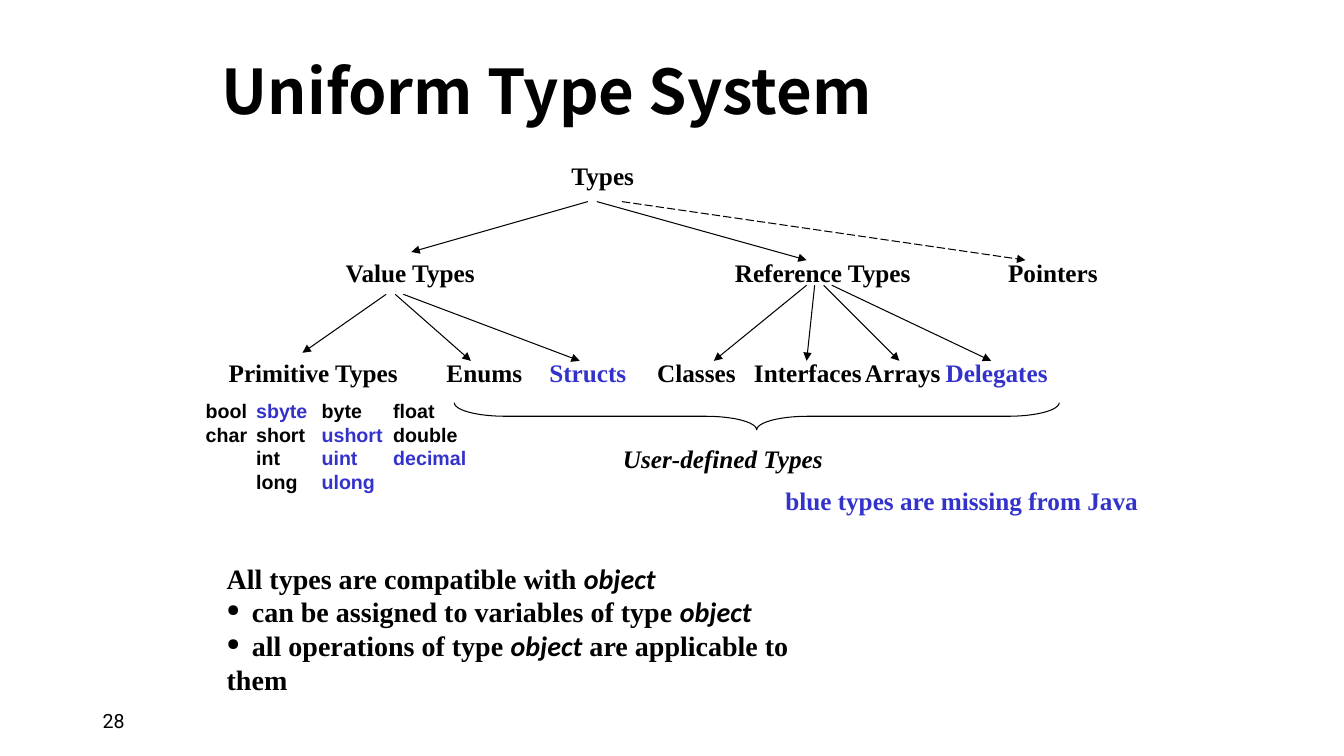
from dataclasses import dataclass

from lxml.etree import SubElement as Sub
from pptx import Presentation
from pptx.dml.color import RGBColor as Color
from pptx.enum.dml import MSO_LINE as Dash
from pptx.enum.shapes import MSO_CONNECTOR as Link, MSO_SHAPE as Kind
from pptx.enum.text import MSO_ANCHOR as Anchor, MSO_AUTO_SIZE as Fit, PP_ALIGN as Align
from pptx.oxml.ns import qn
from pptx.util import Inches, Pt


@dataclass(frozen=True)
class Theme:
    black: Color = Color(0, 0, 0)
    blue: Color = Color(0x33, 0x33, 0xCC)
    serif: str = "Times New Roman"
    sans: str = "Arial"
    code: str = "Calibri"
    head: str = "Noto Sans CJK SC"
    foot: str = "Roboto"
    title: int = 44
    body: int = 20
    label: int = 18
    small: int = 14
    line: float = 0.75


@dataclass(frozen=True)
class Label:
    text: str
    left: float
    top: float
    width: float
    blue: bool = False
    slant: bool = False


@dataclass(frozen=True)
class Column:
    left: float
    width: float
    words: tuple[str, ...]


@dataclass(frozen=True)
class Arrow:
    start: tuple[float, float]
    end: tuple[float, float]
    dashed: bool = False


THEME = Theme()
MISSING = {"sbyte", "ushort", "uint", "ulong", "decimal"}
ROOT, MID, LEAF = 1.54, 2.5, 3.5

LABELS = (
    Label("Types", 5.57, ROOT, 0.84),
    Label("Value Types", 3.33, MID, 1.53),
    Label("Reference Types", 7.19, MID, 1.97),
    Label("Pointers", 9.9, MID, 1.09),
    Label("Primitive Types", 2.17, LEAF, 1.9),
    Label("Enums", 4.33, LEAF, 0.95),
    Label("Structs", 5.35, LEAF, 0.97, blue=True),
    Label("Classes", 6.42, LEAF, 0.98),
    Label("Interfaces", 7.38, LEAF, 1.27),
    Label("Arrays", 8.48, LEAF, 0.95),
    Label("Delegates", 9.28, LEAF, 1.22, blue=True),
    Label("User-defined Types", 6.08, 4.35, 2.19, slant=True),
    Label("blue types are missing from Java", 7.69, 4.77, 3.71, blue=True),
)

COLUMNS = (
    Column(2.02, 0.61, ("bool", "char")),
    Column(2.52, 0.71, ("sbyte", "short", "int", "long")),
    Column(3.17, 0.8, ("byte", "ushort", "uint", "ulong")),
    Column(3.88, 0.92, ("float", "double", "decimal")),
)

ARROWS = (
    Arrow((5.83, 2), (4.08, 2.5)),
    Arrow((5.92, 2), (8, 2.58)),
    Arrow((6.17, 2), (10.17, 2.58), dashed=True),
    Arrow((3.83, 2.92), (3, 3.5)),
    Arrow((3.92, 2.92), (4.67, 3.58)),
    Arrow((4, 2.92), (5.75, 3.58)),
    Arrow((8, 2.83), (7.08, 3.58)),
    Arrow((8.08, 2.83), (8, 3.58)),
    Arrow((8.17, 2.83), (8.92, 3.58)),
    Arrow((8.25, 2.83), (9.83, 3.58)),
)

NOTES = (
    ("All types are compatible with ", "object"),
    ("\tcan be assigned to variables of type ", "object"),
    ("\tall operations of type ", "object", " are applicable to them"),
)


def write(para, text: str, *, font: str = THEME.serif, size: int = THEME.label,
          color: Color = THEME.black, bold: bool = True, slant: bool = False) -> None:
    run = para.add_run()
    run.text = text
    face = run.font
    face.name, face.size, face.bold, face.italic = font, Pt(size), bold, slant
    face.color.rgb = color


def add_box(slide, left: float, top: float, width: float, height: float, *,
            wrap: bool = False, inset: float = 0.1, fit: Fit = Fit.SHAPE_TO_FIT_TEXT):
    box = slide.shapes.add_textbox(*map(Inches, (left, top, width, height)))
    frame = box.text_frame
    frame.word_wrap = wrap
    frame.auto_size = fit
    frame.margin_left = Inches(inset)
    return frame


def add_title(slide) -> None:
    title = slide.shapes.title
    title.left, title.top, title.width, title.height = map(Inches, (2.1, 0.5, 8.52, 0.87))
    frame = title.text_frame
    frame.auto_size = Fit.NONE
    frame.vertical_anchor = Anchor.MIDDLE
    para = frame.paragraphs[0]
    para.alignment = Align.LEFT
    para.line_spacing = 0.9
    write(para, "Uniform Type System", font=THEME.head, size=THEME.title)


def add_label(slide, label: Label) -> None:
    frame = add_box(slide, label.left, label.top, label.width, 0.4)
    write(frame.paragraphs[0], label.text, slant=label.slant,
          color=THEME.blue if label.blue else THEME.black)


def add_column(slide, column: Column) -> None:
    height = 0.1 + 0.235 * len(column.words)
    frame = add_box(slide, column.left, 3.91, column.width, height, wrap=True, inset=0.02)
    for row, word in enumerate(column.words):
        para = frame.add_paragraph() if row else frame.paragraphs[0]
        write(para, word, font=THEME.sans, size=THEME.small,
              color=THEME.blue if word in MISSING else THEME.black)


def add_arrow(slide, arrow: Arrow) -> None:
    ends = map(Inches, (*arrow.start, *arrow.end))
    link = slide.shapes.add_connector(Link.STRAIGHT, *ends)
    link.line.color.rgb = THEME.black
    link.line.width = Pt(THEME.line)
    if arrow.dashed:
        link.line.dash_style = Dash.LONG_DASH
    Sub(link.line._get_or_add_ln(), qn("a:tailEnd"), type="triangle")
    Sub(link._element.spPr, qn("a:effectLst"))


def add_brace(slide) -> None:
    brace = slide.shapes.add_shape(Kind.RIGHT_BRACE, *map(Inches, (7.37, 1.13, 0.27, 6)))
    brace.rotation = 90
    brace.adjustments[0] = 1.88
    brace.adjustments[1] = 0.5
    brace.shadow.inherit = False
    brace.fill.background()
    brace.line.color.rgb = THEME.black
    brace.line.width = Pt(THEME.line)


def add_bullet(para) -> None:
    props = para._p.get_or_add_pPr()
    props.set("marL", "0")
    props.set("indent", "0")
    Sub(props, qn("a:buSzPct"), val="60000")
    Sub(props, qn("a:buChar"), char="●")
    tabs = Sub(props, qn("a:tabLst"))
    Sub(tabs, qn("a:tab"), pos=str(Inches(0.25)), algn="l")


def add_notes(slide) -> None:
    frame = add_box(slide, 2.15, 5.52, 6.44, 1.43, wrap=True)
    for row, parts in enumerate(NOTES):
        para = frame.add_paragraph() if row else frame.paragraphs[0]
        if row:
            add_bullet(para)
        for part in parts:
            code = part == "object"
            write(para, part, size=THEME.body, slant=code,
                  font=THEME.code if code else THEME.serif)


def main() -> None:
    deck = Presentation()
    deck.slide_width, deck.slide_height = Inches(13.33), Inches(7.5)
    slide = deck.slides.add_slide(deck.slide_layouts[5])
    add_title(slide)
    for label in LABELS:
        add_label(slide, label)
    for arrow in ARROWS:
        add_arrow(slide, arrow)
    for column in COLUMNS:
        add_column(slide, column)
    add_brace(slide)
    add_notes(slide)
    frame = add_box(slide, 0.92, 6.95, 3, 0.4, wrap=True, fit=Fit.NONE)
    frame.vertical_anchor = Anchor.MIDDLE
    write(frame.paragraphs[0], "28", font=THEME.foot, size=THEME.small, bold=False)
    deck.save("out.pptx")


if __name__ == "__main__":
    main()
